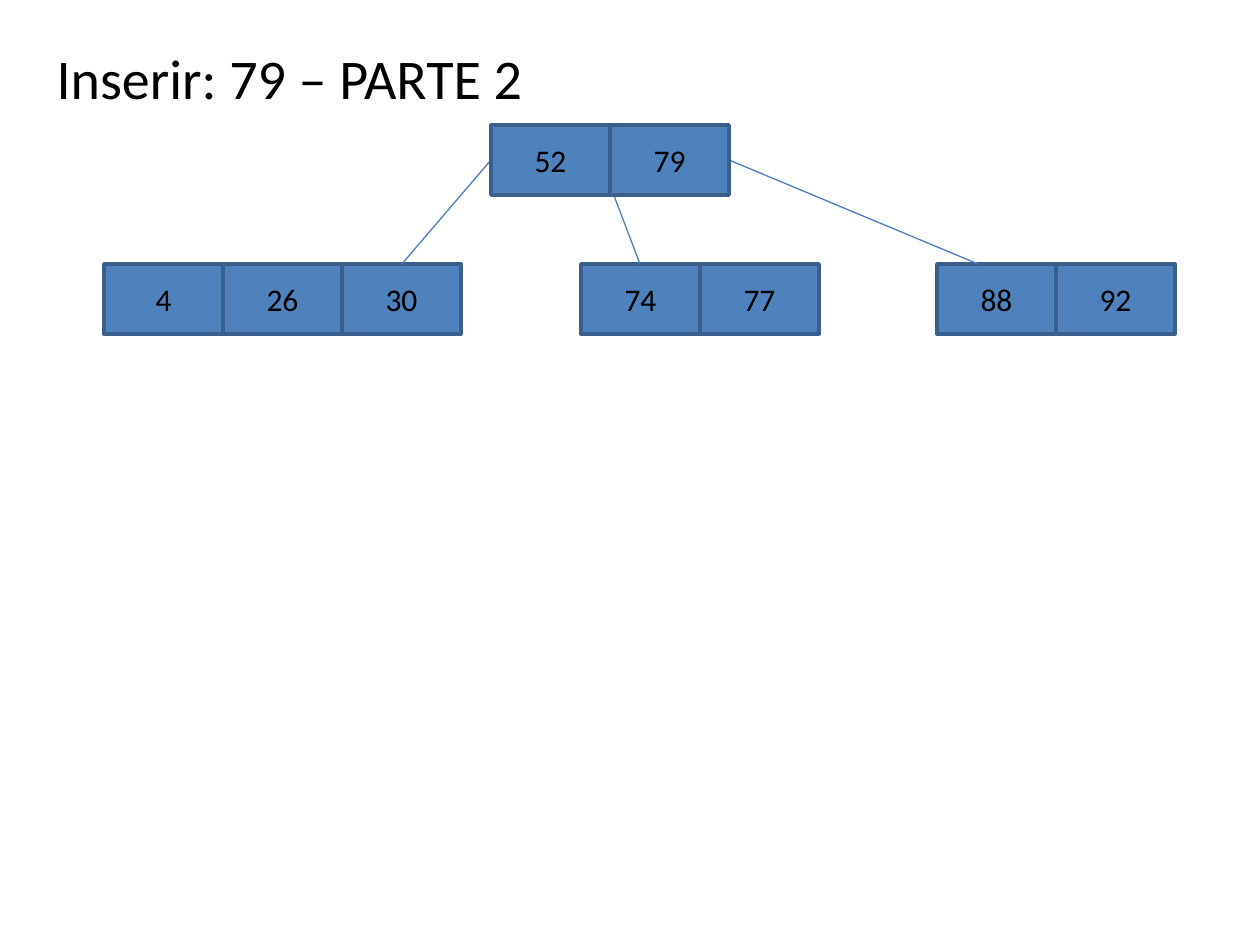
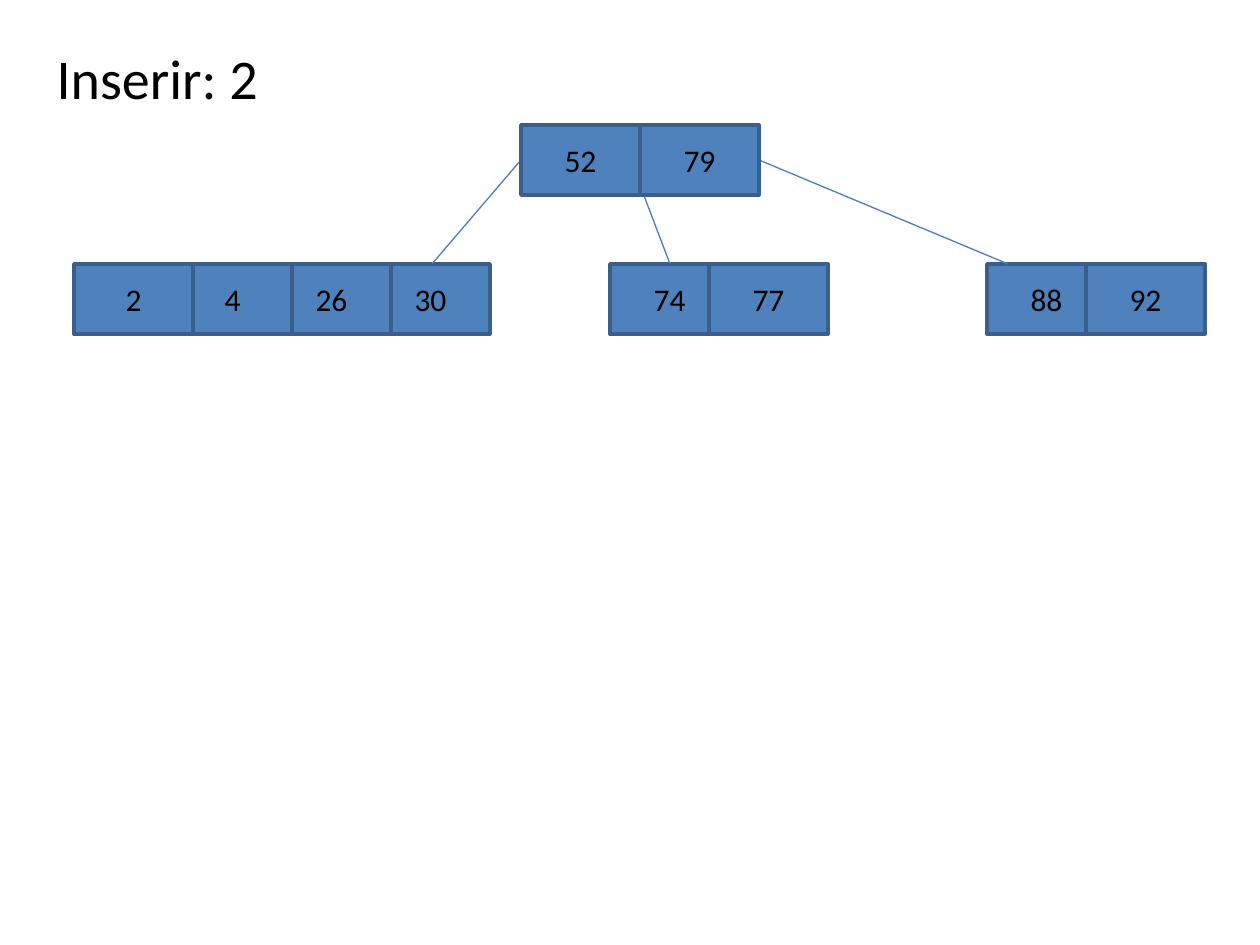
"""Builds two slides showing insertions into a B-tree."""
from lxml import etree
from pptx import Presentation
from pptx.dml.color import RGBColor
from pptx.enum.shapes import MSO_CONNECTOR, MSO_SHAPE
from pptx.enum.text import MSO_ANCHOR, MSO_AUTO_SIZE, PP_ALIGN
from pptx.oxml.ns import qn
from pptx.util import Pt

STRAIGHT = MSO_CONNECTOR.STRAIGHT
RECTANGLE = MSO_SHAPE.RECTANGLE
TOP, MIDDLE = MSO_ANCHOR.TOP, MSO_ANCHOR.MIDDLE
LEFT, CENTER = PP_ALIGN.LEFT, PP_ALIGN.CENTER
NO_AUTOFIT = MSO_AUTO_SIZE.NONE

BLACK = RGBColor(0x00, 0x00, 0x00)
KEY_FILL = RGBColor(0x4F, 0x81, 0xBD)
KEY_BORDER = RGBColor(0x3A, 0x5F, 0x8C)
LINK_COLOR = RGBColor(0x4B, 0x7E, 0xBC)
FONT = "Calibri"

PX = 914400 // 126
KEY_WIDTH, KEY_HEIGHT = 119, 70
ROOT_TOP, LEAF_TOP = 125, 264
ROOT_KEYS = ["52", "79"]
LINKS = [(0, 160, -89), (119, 185, 149), (238, 160, 487)]

STEPS = [
    {"title": "Inserir: 79 – PARTE 2", "root_left": 491, "leaf_pitch": 119,
     "leaves": [(104, ["4", "26", "30"]), (581, ["74", "77"]), (937, ["88", "92"])]},
    {"title": "Inserir: 2", "root_left": 521, "leaf_pitch": 99,
     "leaves": [(74, ["2", "4", "26", "30"]), (610, ["74", "77"]), (987, ["88", "92"])]},
]


def style_text(frame, size, alignment, anchor):
    frame.vertical_anchor = anchor
    frame.word_wrap = True
    paragraph = frame.paragraphs[0]
    paragraph.alignment = alignment
    font = paragraph.runs[0].font
    font.name, font.size = FONT, Pt(size)
    font.color.rgb = BLACK


def add_node(slide, left, top, pitch, keys, right_to_left=False):
    cells = list(enumerate(keys))
    for index, key in reversed(cells) if right_to_left else cells:
        cell = slide.shapes.add_shape(
            RECTANGLE, (left + index * pitch) * PX, top * PX, KEY_WIDTH * PX, KEY_HEIGHT * PX)
        cell.shadow.inherit = False
        cell.fill.solid()
        cell.fill.fore_color.rgb = KEY_FILL
        cell.line.color.rgb = KEY_BORDER
        cell.line.width = Pt(2)
        cell.text_frame.text = key
        style_text(cell.text_frame, 18, CENTER, MIDDLE)


prs = Presentation()
prs.slide_width, prs.slide_height = 1260 * PX, 945 * PX
title_only = prs.slide_layouts[5]

for step in STEPS:
    slide = prs.slides.add_slide(title_only)
    title = slide.shapes.title
    title.left, title.top, title.width, title.height = 44 * PX, 37 * PX, 833 * PX, 89 * PX
    title.text_frame.text = step["title"]
    title.text_frame.auto_size = NO_AUTOFIT
    style_text(title.text_frame, 32, LEFT, TOP)

    for position, (left, keys) in enumerate(step["leaves"]):
        add_node(slide, left, LEAF_TOP, step["leaf_pitch"], keys, right_to_left=position == 0)

    root_left = step["root_left"]
    for start_offset, start_top, end_offset in LINKS:
        link = slide.shapes.add_connector(
            STRAIGHT, (root_left + start_offset) * PX, start_top * PX,
            (root_left + end_offset) * PX, LEAF_TOP * PX)
        link.line.color.rgb = LINK_COLOR
        link.line.width = Pt(0.75)
        etree.SubElement(link.element.spPr, qn("a:effectLst"))

    add_node(slide, root_left, ROOT_TOP, KEY_WIDTH, ROOT_KEYS)

prs.save("out.pptx")
